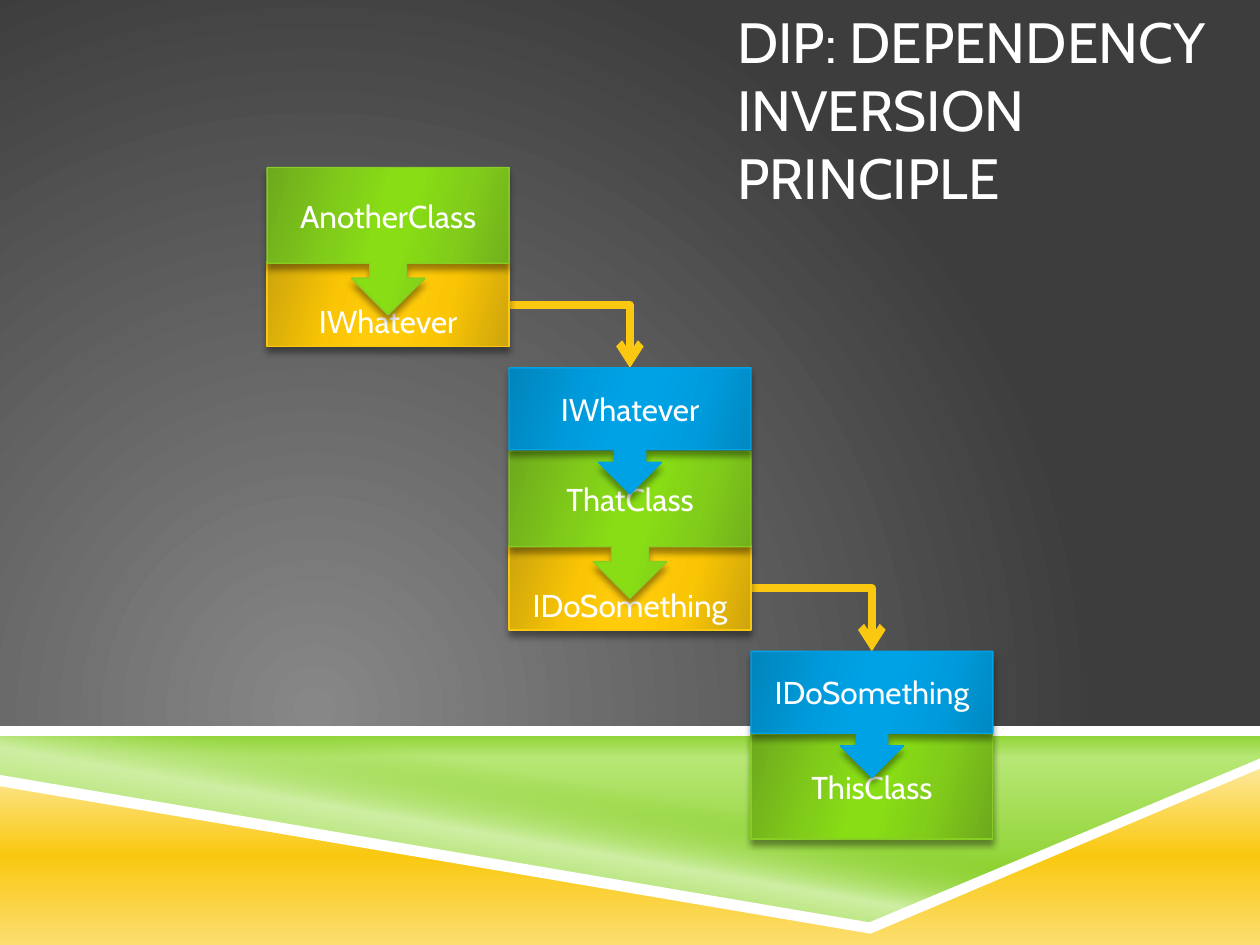
"""Build the Dependency Inversion Principle slide with its cascade of classes."""
from lxml import etree
from pptx import Presentation
from pptx.dml.color import RGBColor
from pptx.enum.shapes import MSO_CONNECTOR, MSO_SHAPE
from pptx.enum.text import MSO_ANCHOR, MSO_AUTO_SIZE, PP_ALIGN
from pptx.oxml.ns import qn
from pptx.util import Inches, Pt

FONT = "Cabin"
WHITE = RGBColor(0xFF, 0xFF, 0xFF)
YELLOW = RGBColor(0xFA, 0xC8, 0x10)
GREEN = RGBColor(0x86, 0xCE, 0x24)
BLUE = RGBColor(0x00, 0xA2, 0xE6)
LIGHT_GRAY = RGBColor(0x87, 0x87, 0x87)
DARK_GRAY = RGBColor(0x3D, 0x3D, 0x3D)
PALE_GREEN = RGBColor(0xB7, 0xE7, 0x76)
SHEEN_GREEN = RGBColor(0xCF, 0xEF, 0xA4)
PALE_YELLOW = RGBColor(0xFD, 0xE9, 0x9F)
SOFT_YELLOW = RGBColor(0xFC, 0xDE, 0x70)
YELLOW_SHADES = RGBColor(0xCD, 0xA4, 0x0D), RGBColor(0xFA, 0xC5, 0x04), RGBColor(0xFF, 0xCB, 0x0B)
GREEN_SHADES = RGBColor(0x6E, 0xA9, 0x1D), RGBColor(0x81, 0xCD, 0x1A), RGBColor(0x88, 0xDD, 0x15)
BLUE_SHADES = RGBColor(0x00, 0x85, 0xBC), RGBColor(0x00, 0x9B, 0xDC), RGBColor(0x00, 0xA2, 0xE6)


def set_gradient(fill_parent, stops, angle=None):
    """Swap the plain fill for a gradient; without an angle it is circular."""
    old_fill = fill_parent.find(qn("a:solidFill"))
    gradient = etree.Element(qn("a:gradFill"), rotWithShape="1")
    stop_list = etree.SubElement(gradient, qn("a:gsLst"))
    for position, color, *alpha in stops:
        stop = etree.SubElement(stop_list, qn("a:gs"), pos=str(position * 1000))
        rgb = etree.SubElement(stop, qn("a:srgbClr"), val=str(color))
        for value in alpha:
            etree.SubElement(rgb, qn("a:alpha"), val=str(value * 1000))
    if angle is None:
        circle = etree.SubElement(gradient, qn("a:path"), path="circle")
        etree.SubElement(circle, qn("a:fillToRect"), l="50000", t="100000", r="100000", b="50000")
    else:
        etree.SubElement(gradient, qn("a:lin"), ang=str(angle * 60000), scaled="0")
    fill_parent.replace(old_fill, gradient)


def add_polygon(shapes, points):
    """Add a white outline-free polygon through points given in inches."""
    corners = [(Inches(x), Inches(y)) for x, y in points]
    builder = shapes.build_freeform(*corners[0], scale=1.0)
    builder.add_line_segments(corners[1:], close=True)
    polygon = builder.convert_to_shape()
    polygon.shadow.inherit = False
    polygon.fill.solid()
    polygon.fill.fore_color.rgb = WHITE
    polygon.line.fill.background()
    return polygon


prs = Presentation()
prs.slide_width, prs.slide_height = Inches(10), Inches(7.5)
slide = prs.slides.add_slide(prs.slide_layouts[5])
shapes = slide.shapes

slide.background.fill.solid()
slide.background.fill.fore_color.rgb = DARK_GRAY
set_gradient(slide.element.find(".//" + qn("p:bgPr")), [(0, LIGHT_GRAY), (100, DARK_GRAY)])

valley = [(0, 5.8), (10, 5.79), (10, 6.07), (6.89, 7.37), (0, 6.19)]
ground = [(0, 6.21), (6.92, 7.38), (10, 6.07), (10, 7.5), (0, 7.5)]
scenery = [
    (valley, [(0, GREEN), (14, PALE_GREEN), (83, GREEN)], 90),
    (valley, [(41, GREEN, 0), (57, SHEEN_GREEN), (100, GREEN, 0)], 100),
    (ground, [(0, PALE_YELLOW), (50, YELLOW), (100, SOFT_YELLOW)], 90),
]
for points, stops, angle in scenery:
    set_gradient(add_polygon(shapes, points).element.spPr, stops, angle)
add_polygon(shapes, [(0, 5.76), (10, 5.76), (10, 5.84), (0, 5.84)])
add_polygon(shapes, [(0, 6.15), (6.9, 7.32), (10, 6.02), (10, 6.1), (6.91, 7.41), (0, 6.24)])

title = shapes.title
title.left, title.top, title.width, title.height = Inches(5.75), 0, Inches(4.25), Inches(1.67)
heading = title.text_frame
heading.word_wrap = True
heading.auto_size = MSO_AUTO_SIZE.NONE
heading.vertical_anchor = MSO_ANCHOR.TOP
heading.paragraphs[0].alignment = PP_ALIGN.LEFT
heading_run = heading.paragraphs[0].add_run()
heading_run.text = "DIP: DEPENDENCY INVERSION PRINCIPLE"
heading_run.font.name = FONT
heading_run.font.size = Pt(32.4)
heading_run.font.color.rgb = WHITE

BLOCK_WIDTH = 1.92
FIRST_LEFT, FIRST_TOP, STEP_DOWN = 2.12, 1.33, 2.25
CALLOUT, BOX = MSO_SHAPE.DOWN_ARROW_CALLOUT, MSO_SHAPE.RECTANGLE
modules = [
    (None, "AnotherClass", "IWhatever"),
    ("IWhatever", "ThatClass", "IDoSomething"),
    ("IDoSomething", "ThisClass", None),
]

for column, (provided, class_name, required) in enumerate(modules):
    left = FIRST_LEFT + column * BLOCK_WIDTH
    top = FIRST_TOP + column * STEP_DOWN
    class_shape, class_height = (CALLOUT, 1.17) if required else (BOX, 0.83)
    blocks = [
        (required, BOX, 0.75, 0.67, YELLOW, YELLOW_SHADES, MSO_ANCHOR.BOTTOM),
        (class_name, class_shape, 0, class_height, GREEN, GREEN_SHADES, MSO_ANCHOR.MIDDLE),
        (provided, CALLOUT, -0.66, 1, BLUE, BLUE_SHADES, MSO_ANCHOR.MIDDLE),
    ]

    if required:
        right = left + BLOCK_WIDTH
        link = shapes.add_connector(
            MSO_CONNECTOR.ELBOW, Inches(right), Inches(top + 1.09),
            Inches(right + BLOCK_WIDTH / 2), Inches(top + 1.59))
        link.line.color.rgb = YELLOW
        link.line.width = Pt(4.5)
        link_properties = link.element.spPr
        link_properties.find(qn("a:prstGeom")).set("prst", "bentConnector2")
        etree.SubElement(link_properties.find(qn("a:ln")), qn("a:tailEnd"), type="arrow")
        etree.SubElement(link_properties, qn("a:effectLst"))

    for name, outline, offset, height, color, (edge, mid, center), anchor in blocks:
        if not name:
            continue
        block = shapes.add_shape(
            outline, Inches(left), Inches(top + offset), Inches(BLOCK_WIDTH), Inches(height))
        block.fill.solid()
        block.fill.fore_color.rgb = color
        sheen = [(0, edge), (30, mid), (45, center), (55, center), (73, mid), (100, edge)]
        set_gradient(block.element.spPr, sheen, 16)
        block.line.color.rgb = color
        block.line.width = Pt(0.75)
        block.shadow.inherit = False
        shadow = etree.SubElement(
            block.element.spPr.find(qn("a:effectLst")), qn("a:outerShdw"),
            blurRad=str(Pt(4)), dist=str(Pt(3.3)), dir="5400000", rotWithShape="0")
        shade = etree.SubElement(shadow, qn("a:srgbClr"), val="000000")
        etree.SubElement(shade, qn("a:alpha"), val="40000")
        label = block.text_frame
        label.word_wrap = True
        label.vertical_anchor = anchor
        label.paragraphs[0].alignment = PP_ALIGN.CENTER
        label_run = label.paragraphs[0].add_run()
        label_run.text = name
        label_run.font.name = FONT
        label_run.font.size = Pt(18)
        label_run.font.color.rgb = WHITE

prs.save("out.pptx")
